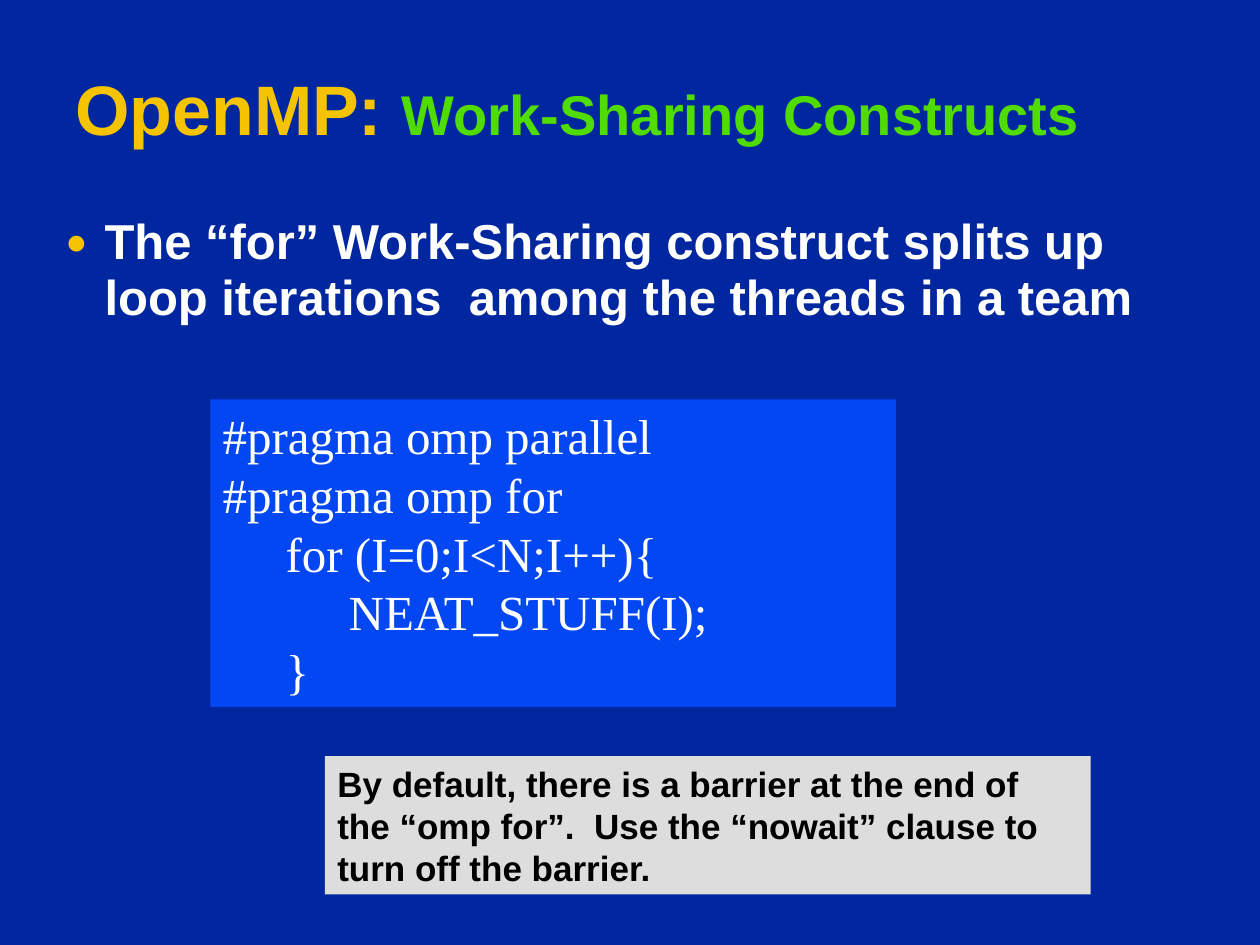
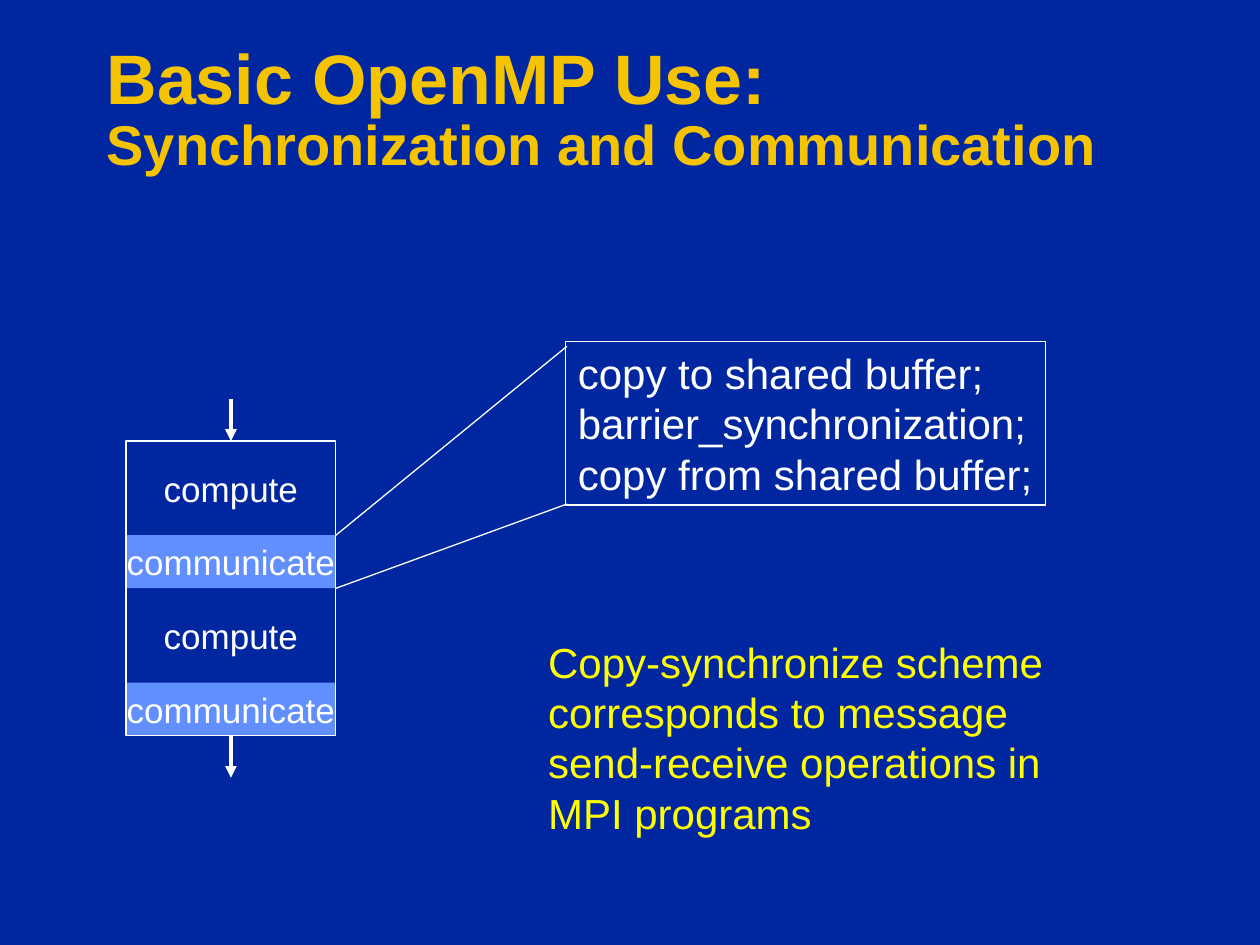
"""Build two slides on OpenMP work sharing and synchronization."""
from lxml.etree import SubElement
from pptx import Presentation
from pptx.dml.color import RGBColor
from pptx.enum.shapes import MSO_CONNECTOR, MSO_SHAPE
from pptx.enum.text import MSO_ANCHOR, MSO_AUTO_SIZE, PP_ALIGN
from pptx.oxml.ns import qn
from pptx.util import Cm, Pt

NAVY, GOLD, GREEN, WHITE = "00279F", "F5C300", "51DC00", "FFFFFF"
BLUE, GREY, BLACK, SKY, YELLOW = "0247F2", "DDDDDD", "000000", "618FFD", "FFFF00"

SHARING_TITLE = [("OpenMP: ", 40, GOLD), ("Work-Sharing Constructs", 32, GREEN)]
SHARING_POINT = ("The “for” Work-Sharing construct splits up loop iterations"
                 "  among the threads in a team")
CODE = """#pragma omp parallel
#pragma omp for
\tfor (I=0;I<N;I++){
\t\tNEAT_STUFF(I);
\t}"""
NOTE = ("By default, there is a barrier at the end of the “omp for”."
        "  Use the “nowait” clause to turn off the barrier.")

SYNC_TITLE = [("Basic OpenMP Use: \n", 40, GOLD),
              ("Synchronization and Communication", 32, GOLD)]
PHASES = [("compute", 1.9, None), ("communicate", 1.07, SKY)] * 2
BUFFER_STEPS = ["copy to shared buffer;", "barrier_synchronization;",
                "copy from shared buffer;"]
SUMMARY = ("Copy-synchronize scheme corresponds to message send-receive "
           "operations in MPI programs")

STACK_LEFT, STACK_TOP, STACK_WIDTH = 2.54, 8.89, 4.23
ARROW_LENGTH = 0.85
CALLOUT_LEFT, CALLOUT_ENDS = 11.43, (6.98, 10.16)


def rgb(value):
    return RGBColor.from_string(value)


def add_slide(prs):
    s = prs.slides.add_slide(prs.slide_layouts[6])
    s.background.fill.solid()
    s.background.fill.fore_color.rgb = rgb(NAVY)
    return s


def add_rect(s, box, fill=None, line=None):
    sp = s.shapes.add_shape(MSO_SHAPE.RECTANGLE, *map(Cm, box))
    sp.shadow.inherit = False
    if fill:
        sp.fill.solid()
        sp.fill.fore_color.rgb = rgb(fill)
    else:
        sp.fill.background()
    if line:
        sp.line.color.rgb = rgb(line)
        sp.line.width = Pt(0.75)
    else:
        sp.line.fill.background()
    return sp


def write(sp, paragraphs, font="Arial", bold=False, align=PP_ALIGN.LEFT,
          anchor=MSO_ANCHOR.TOP, wrap=True, grow=False, before=0, spacing=None):
    tf = sp.text_frame
    tf.word_wrap = wrap
    tf.vertical_anchor = anchor
    tf.auto_size = MSO_AUTO_SIZE.SHAPE_TO_FIT_TEXT if grow else MSO_AUTO_SIZE.NONE
    for i, parts in enumerate(paragraphs):
        p = tf.add_paragraph() if i else tf.paragraphs[0]
        p.alignment = align
        p.space_before = Pt(before)
        if spacing:
            p.line_spacing = spacing
        for text, size, color in parts:
            for row in text.splitlines(True):
                r = p.add_run()
                r.text = row.rstrip("\n")
                r.font.name, r.font.size, r.font.bold = font, Pt(size), bold
                r.font.color.rgb = rgb(color)
                if row.endswith("\n"):
                    p.add_line_break()
    return tf


def add_text(s, box, paragraphs, **style):
    return write(s.shapes.add_textbox(*map(Cm, box)), paragraphs, **style)


def add_title(s, box, parts, spacing):
    add_text(s, box, [parts], bold=True, anchor=MSO_ANCHOR.MIDDLE, spacing=spacing)


def add_bullet(p):
    pPr = p._p.get_or_add_pPr()
    pPr.set("marL", str(Cm(0.79)))
    pPr.set("indent", str(-Cm(0.79)))
    color = SubElement(pPr, qn("a:buClr"))
    SubElement(color, qn("a:srgbClr"), val=GOLD)
    SubElement(pPr, qn("a:buSzPct"), val="75000")
    SubElement(pPr, qn("a:buFont"), typeface="Arial")
    SubElement(pPr, qn("a:buChar"), char="●")


def add_line(s, start, end, width=0.75, arrow=False):
    cn = s.shapes.add_connector(MSO_CONNECTOR.STRAIGHT, *map(Cm, start + end))
    cn.line.color.rgb = rgb(WHITE)
    cn.line.width = Pt(width)
    if arrow:
        SubElement(cn.line._get_or_add_ln(), qn("a:tailEnd"), type="triangle")
    SubElement(cn._element.spPr, qn("a:effectLst"))
    return cn


def build_sharing(prs):
    s = add_slide(prs)
    add_title(s, (1.27, 0.69, 23.6, 3.18), SHARING_TITLE, 0.89)
    tf = add_text(s, (1.07, 4.22, 23.65, 4.22), [[(SHARING_POINT, 28, WHITE)]],
                  bold=True, before=10.5, spacing=0.94)
    add_bullet(tf.paragraphs[0])
    write(add_rect(s, (4.24, 8.05, 13.82, 6.2), BLUE), [[(CODE, 28, WHITE)]],
          font="Times New Roman", grow=True, before=17.5)
    write(add_rect(s, (6.55, 15.24, 15.44, 2.79), GREY), [[(NOTE, 20, BLACK)]],
          bold=True, grow=True, before=12.5)


def build_sync(prs):
    s = add_slide(prs)
    add_title(s, (1.9, 0.69, 22.23, 3.12), SYNC_TITLE, 0.87)

    y, edges = STACK_TOP, [STACK_TOP]
    for name, height, fill in PHASES:
        sp = add_rect(s, (STACK_LEFT, y, STACK_WIDTH, height), fill)
        write(sp, [[(name, 20, WHITE)]], align=PP_ALIGN.CENTER,
              anchor=MSO_ANCHOR.MIDDLE, wrap=False)
        y += height
        edges.append(y)

    write(add_rect(s, (11.4, 6.88, 9.68, 3.3), line=WHITE),
          [[(step, 24, WHITE)] for step in BUFFER_STEPS], wrap=False, grow=True)
    right = STACK_LEFT + STACK_WIDTH
    for edge, end in zip(edges[1:3], CALLOUT_ENDS):
        add_line(s, (right, edge), (CALLOUT_LEFT, end))
    add_text(s, (10.8, 12.7, 12.12, 4.32), [[(SUMMARY, 24, YELLOW)]], grow=True)

    frame = add_rect(s, (STACK_LEFT, STACK_TOP, STACK_WIDTH, y - STACK_TOP), line=WHITE)
    middle = STACK_LEFT + STACK_WIDTH / 2
    entry = add_line(s, (middle, STACK_TOP - ARROW_LENGTH), (middle, STACK_TOP), 2.25, True)
    entry.end_connect(frame, 0)
    leave = add_line(s, (middle, y), (middle, y + ARROW_LENGTH), 2.25, True)
    leave.begin_connect(frame, 2)


def main():
    prs = Presentation()
    prs.slide_width, prs.slide_height = Cm(25.4), Cm(19.05)
    build_sharing(prs)
    build_sync(prs)
    prs.save("out.pptx")


if __name__ == "__main__":
    main()
